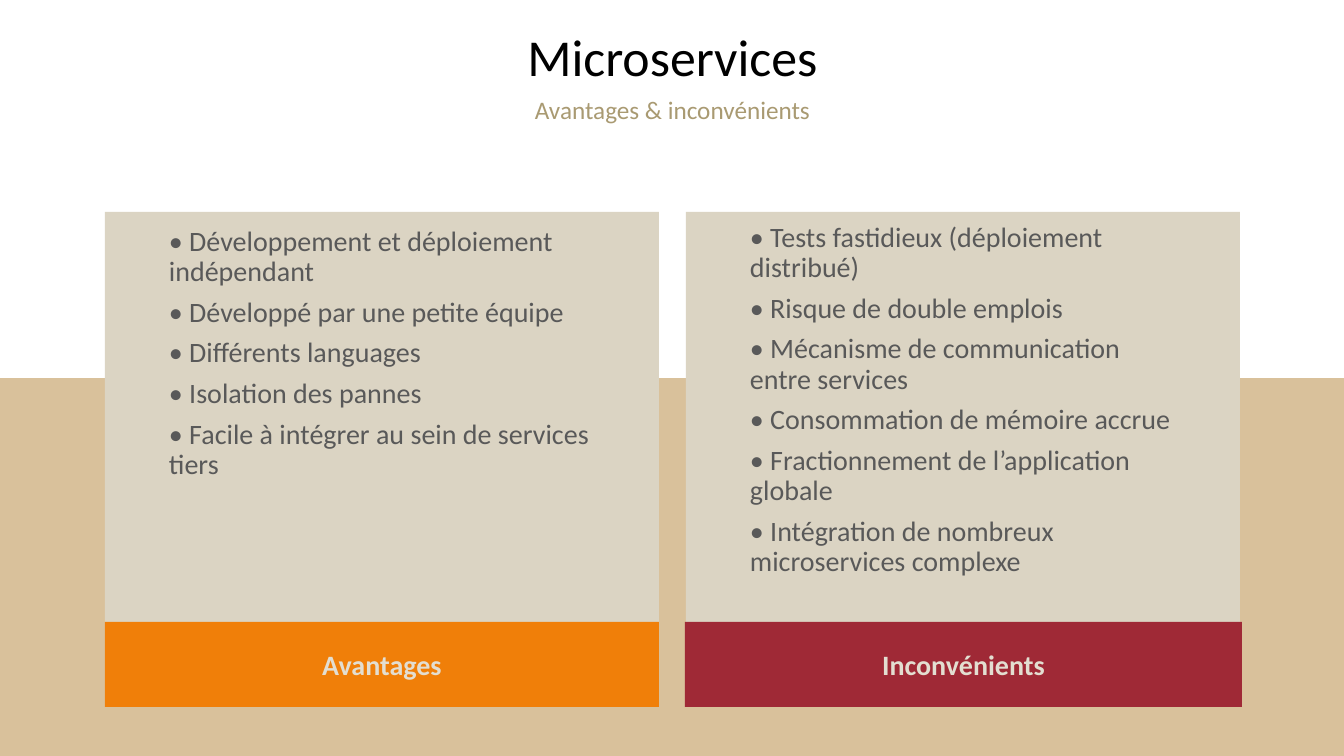
from lxml import etree
from pptx import Presentation
from pptx.dml.color import RGBColor
from pptx.enum.shapes import MSO_SHAPE
from pptx.enum.text import MSO_ANCHOR, MSO_AUTO_SIZE, PP_ALIGN
from pptx.oxml.ns import qn
from pptx.util import Pt

PIXEL = 9144000 // 1008 + 0.43  # EMU per pixel at 100.8 pixels to the inch
PAGE_WIDTH, PAGE_HEIGHT = 1344, 756
RECTANGLE = MSO_SHAPE.RECTANGLE
TOP, MIDDLE = MSO_ANCHOR.TOP, MSO_ANCHOR.MIDDLE
LEFT, CENTER = PP_ALIGN.LEFT, PP_ALIGN.CENTER
NO_AUTOFIT = MSO_AUTO_SIZE.NONE
FONT = "Calibri"
TITLE_LAYOUT = 5

ADVANTAGES = [
    "Développement et déploiement indépendant",
    "Développé par une petite équipe",
    "Différents languages",
    "Isolation des pannes",
    "Facile à intégrer au sein de services tiers",
]
DRAWBACKS = [
    "Tests fastidieux (déploiement distribué)",
    "Risque de double emplois",
    "Mécanisme de communication entre services",
    "Consommation de mémoire accrue",
    "Fractionnement de l’application globale",
    "Intégration de nombreux microservices complexe",
]


def emu(*pixels):
    """Turn pixel lengths into EMU."""
    return [round(length * PIXEL) for length in pixels]


def color(hex_code):
    """Return the colour for a hex string."""
    return RGBColor.from_string(hex_code)


def write(shape, lines, size, hex_code, align=LEFT, anchor=TOP,
          bold=False, line_spacing=1.0, space_before=0):
    """Fill a shape with one paragraph per line, all in one style."""
    frame = shape.text_frame
    frame.word_wrap = True
    frame.auto_size = NO_AUTOFIT
    frame.vertical_anchor = anchor
    frame.text = "\n".join(lines)
    for para in frame.paragraphs:
        para.alignment = align
        para.line_spacing = line_spacing
        para.space_before = Pt(space_before)
        para.font.name = FONT
        para.font.size = Pt(size)
        para.font.bold = bold
        para.font.color.rgb = color(hex_code)


def add_rectangle(page, box, hex_code, opacity=100):
    """Add a plain filled rectangle, see-through below 100 percent."""
    shape = page.shapes.add_shape(RECTANGLE, *emu(*box))
    shape.shadow.inherit = False
    shape.line.fill.background()
    shape.fill.solid()
    shape.fill.fore_color.rgb = color(hex_code)
    if opacity < 100:
        fill_color = shape.fill._xPr.find(qn("a:solidFill"))[0]
        etree.SubElement(fill_color, qn("a:alpha"), val=str(opacity * 1000))
    return shape


def add_heading(page, box):
    """Place the title with its subtitle below it."""
    left, top, width, height = box
    title = page.shapes.title
    title.left, title.top, title.width, title.height = emu(left, top, width, 56)
    write(title, ["Microservices"], 37, "000000", CENTER, MIDDLE,
          line_spacing=0.9, space_before=10)
    subtitle = page.shapes.add_textbox(*emu(left, top + 61, width, height - 61))
    write(subtitle, ["Avantages & inconvénients"], 18, "A99A72", CENTER,
          line_spacing=0.9, space_before=10)


def add_card(page, box, items, items_top, label, bar_color, bar_left, bar_width):
    """Place a panel with a bullet list and a coloured label bar at its foot."""
    left, top, width, height = box
    bar_height = 85
    add_rectangle(page, box, "DBD4C3")
    listing = page.shapes.add_textbox(
        *emu(left + 54, top + items_top, width - 104, 377))
    write(listing, [f"• {item}" for item in items], 20, "595959",
          line_spacing=0.9, space_before=7.5)
    bar = add_rectangle(
        page, (left + bar_left, top + height - bar_height, bar_width, bar_height),
        bar_color)
    write(bar, [label], 20, "E3DED1", CENTER, MIDDLE, bold=True)


def build_slide(deck):
    """Lay out the heading, the lower band and the two cards."""
    page = deck.slides.add_slide(deck.slide_layouts[TITLE_LAYOUT])
    add_heading(page, (118, 32, 1109, 89))
    half = PAGE_HEIGHT // 2
    add_rectangle(page, (0, half, PAGE_WIDTH, half), "C19859", opacity=60)
    add_card(page, (105, 212, 554, 495), ADVANTAGES, 10,
             "Avantages", "F07F09", 0, 554)
    add_card(page, (686, 212, 554, 495), DRAWBACKS, 6,
             "Inconvénients", "9F2936", -1, 557)


deck = Presentation()
deck.slide_width, deck.slide_height = emu(PAGE_WIDTH, PAGE_HEIGHT)
build_slide(deck)
deck.save("out.pptx")
